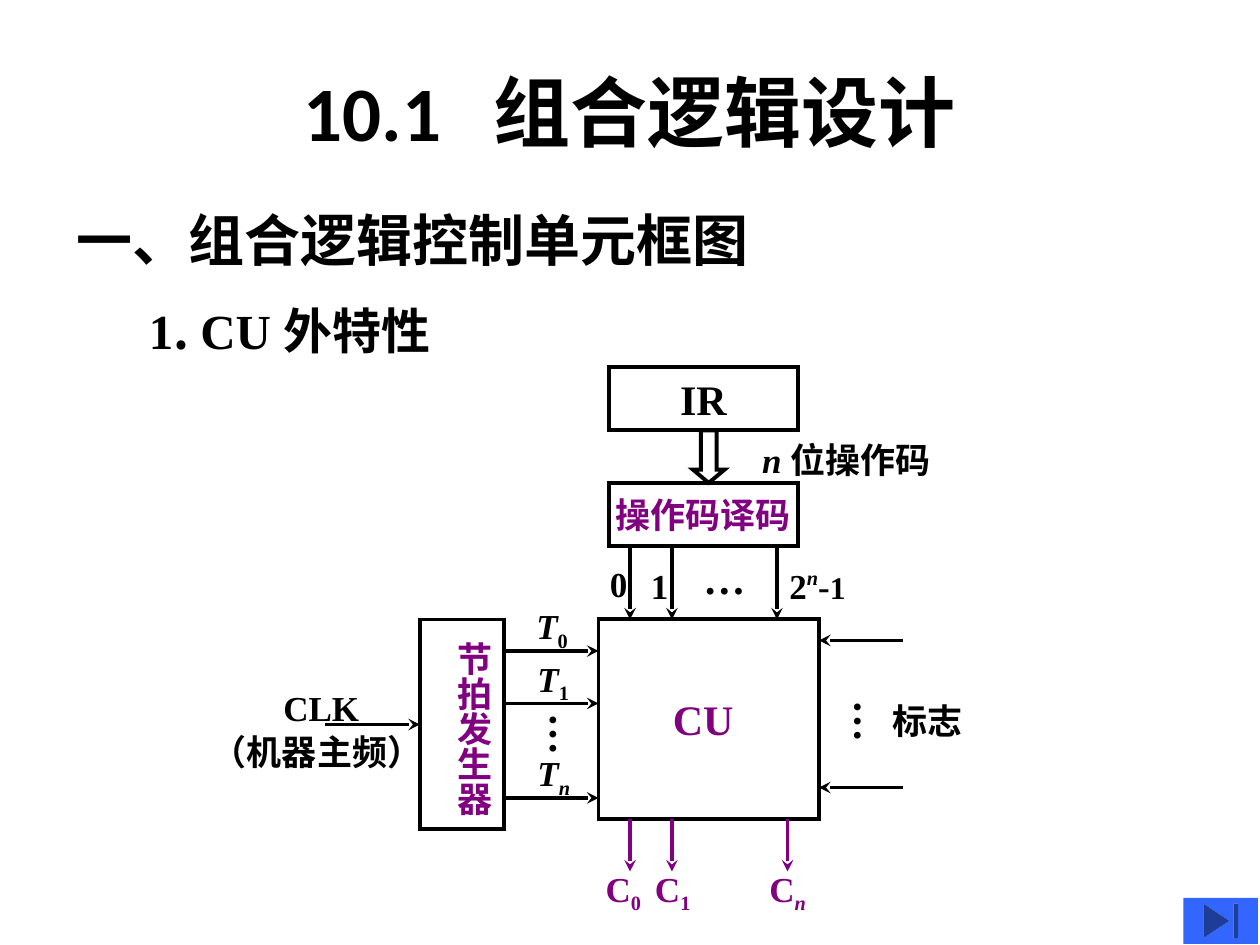
from lxml import etree
from pptx import Presentation, util as u
from pptx.dml.color import RGBColor
from pptx.enum import shapes, text
from pptx.oxml.ns import qn

BLACK = RGBColor(0x00, 0x00, 0x00)
PURPLE = RGBColor(0x80, 0x00, 0x80)
BLUE = RGBColor(0x33, 0x66, 0xFF)
SERIF, SANS, TITLE_FONT = "Times New Roman", "Noto Sans CJK SC", "Calibri"
COLUMNS, ROWS = 120, 90
WIDTH, HEIGHT = u.Inches(10), u.Inches(7.5)
STROKE = u.Pt(2.25)
ITALIC = {"italic": True}
SUB = {"base": -25}
ITALIC_SUB = {"italic": True, "base": -25}

# Places are left, top, width, height in grid columns and rows.
TITLE = ["10.1", (" ", {"spacing": 20}), "组合逻辑设计"]
TITLE_PLACE = (9, 3, 102, 15)
HEADINGS = [
    ((6.1, 19, 67, 7.7), ["一、组合逻辑控制单元框图"], {"size": 32, "font": SANS}),
    ((13, 28, 45, 6.8), ["1", (". ", {"font": SANS}), "CU ", ("外特性", {"font": SANS})],
     {"size": 28, "wrap": True}),
]
IR, DECODER = (58, 35, 18, 6), (58, 46, 18, 6)
TIMING, CU = (40, 59, 8, 20), (57, 59, 21, 19)
OPCODE_ARROW = (66, 41, 3, 5)
END_BUTTON = (112.7, 85.5, 7.1, 4.4)

BEAT_ROWS = [62, 67, 76]
FLAG_ROWS = [61, 75]
DECODED_COLUMNS = [60, 64, 74]
CONTROL_COLUMNS = [60, 64, 75]
CLOCK_ROW = 69

LABELS = [
    ((62.9, 65.5, 8.5, 6), ["CU"], {"size": 24, "color": PURPLE}),
    ((41.3, 59.9, 6.4, 17.9), ["节拍发生器"], {"color": PURPLE, "vertical": True}),
    ((25.8, 64.8, 10, 5.3), ["CLK"], {}),
    ((19, 69, 23, 5.3), ["（机器主频）"], {}),
    ((83.8, 66, 9.6, 5.3), ["标志"], {}),
    ((71.4, 41.2, 20, 5.3), [("n ", ITALIC), "位操作码"], {}),
    ((56.9, 53, 4.5, 5.3), ["0"], {}),
    ((60.8, 53.2, 4.5, 5.3), ["1"], {}),
    ((74, 53.2, 8.4, 5.3),
     ["2", ("n", {"italic": True, "base": 40}), "-", ("1", {"size": 18})], {}),
    ((65.8, 52, 6.8, 6), ["…"], {"size": 24}),
    ((49.8, 66.8, 7.2, 5.3), ["…"], {"size": 24, "vertical": True}),
    ((78.8, 65.5, 7.2, 5.3), ["…"], {"size": 24, "vertical": True}),
]
BEATS = [((49.9, 57), "0", SUB), ((50, 62), "1", SUB), ((50, 71), "n", ITALIC_SUB)]
CONTROLS = [(56.5, "0", SUB), (61.2, "1", SUB), (72.1, "n", ITALIC_SUB)]
LABELS += [((*corner, 6.2, 5.8), [("T", ITALIC), (index, style)], {})
           for corner, index, style in BEATS]
LABELS += [((left, 82, 6.5, 5.8), ["C", (index, style)], {"color": PURPLE})
           for left, index, style in CONTROLS]


def x(column):
    return round(WIDTH * column / COLUMNS)


def y(row):
    return round(HEIGHT * row / ROWS)


def box(place):
    left, top, width, height = place
    return x(left), y(top), x(width), y(height)


def write(frame, runs, size=20, font=SERIF, color=BLACK, align=None, wrap=False,
          vertical=False):
    """Fill a frame with runs; a run is a string or (string, format changes)."""
    frame.word_wrap = wrap
    if vertical:
        frame._txBody.bodyPr.set("vert", "eaVert")
        frame.margin_left = frame.margin_right = u.Inches(0.05)
        frame.margin_top = frame.margin_bottom = u.Inches(0.1)
    paragraph = frame.paragraphs[0]
    paragraph.alignment = align
    for item in runs:
        words, changes = (item, {}) if isinstance(item, str) else item
        run = paragraph.add_run()
        run.text = words
        run.font.size = u.Pt(changes.get("size", size))
        run.font.bold = True
        run.font.italic = changes.get("italic", False)
        run.font.color.rgb = color
        run.font.name = changes.get("font", font)
        properties = run.font._element
        properties.find(qn("a:latin")).addnext(
            etree.Element(qn("a:ea"), typeface=SANS))
        if "base" in changes:
            properties.set("baseline", str(changes["base"] * 1000))
        if "spacing" in changes:
            properties.set("spc", str(changes["spacing"] * 100))


def add_label(slide, place, runs, **style):
    frame = slide.shapes.add_textbox(*box(place)).text_frame
    frame.auto_size = text.MSO_AUTO_SIZE.SHAPE_TO_FIT_TEXT
    write(frame, runs, **style)


def add_outline(slide, place, kind=shapes.MSO_SHAPE.RECTANGLE):
    outline = slide.shapes.add_shape(kind, *box(place))
    outline.shadow.inherit = False
    outline.fill.background()
    outline.line.color.rgb = BLACK
    outline.line.width = STROKE
    etree.SubElement(outline.line._get_or_add_ln(), qn("a:miter"), lim="800000")
    return outline


def add_arrow(slide, start, end, color=BLACK):
    arrow = slide.shapes.add_connector(
        shapes.MSO_CONNECTOR.STRAIGHT, x(start[0]), y(start[1]), x(end[0]), y(end[1]))
    arrow.line.color.rgb = color
    arrow.line.width = STROKE
    etree.SubElement(arrow.line._get_or_add_ln(), qn("a:tailEnd"), type="stealth")
    etree.SubElement(arrow._element.spPr, qn("a:effectLst"))


def main():
    deck = Presentation()
    deck.slide_width, deck.slide_height = WIDTH, HEIGHT
    slide = deck.slides.add_slide(deck.slide_layouts[5])

    title = slide.shapes.title
    title.left, title.top, title.width, title.height = box(TITLE_PLACE)
    title.text_frame.vertical_anchor = text.MSO_ANCHOR.MIDDLE
    write(title.text_frame, TITLE, size=44, font=TITLE_FONT,
          align=text.PP_ALIGN.CENTER, wrap=True)

    for place in (TIMING, CU):
        add_outline(slide, place)
    for place, name, style in ((IR, "IR", {"size": 24}),
                               (DECODER, "操作码译码", {"color": PURPLE})):
        frame = add_outline(slide, place).text_frame
        frame.vertical_anchor = text.MSO_ANCHOR.MIDDLE
        write(frame, [name], align=text.PP_ALIGN.CENTER, **style)
    opcode = add_outline(slide, OPCODE_ARROW, shapes.MSO_SHAPE.DOWN_ARROW)
    opcode.adjustments[0], opcode.adjustments[1] = 0.5, 0.42

    cu_left, cu_top, cu_width, cu_height = CU
    cu_right, cu_bottom = cu_left + cu_width, cu_top + cu_height
    timing_left, timing_right = TIMING[0], TIMING[0] + TIMING[2]
    decoder_bottom = DECODER[1] + DECODER[3]
    add_arrow(slide, (timing_left - 9, CLOCK_ROW), (timing_left, CLOCK_ROW))
    for row in BEAT_ROWS:
        add_arrow(slide, (timing_right, row), (cu_left, row))
    for row in FLAG_ROWS:
        add_arrow(slide, (cu_right + 8, row), (cu_right, row))
    for column in DECODED_COLUMNS:
        add_arrow(slide, (column, decoder_bottom), (column, cu_top))
    for column in CONTROL_COLUMNS:
        add_arrow(slide, (column, cu_bottom), (column, cu_bottom + 5), PURPLE)

    for place, runs, style in HEADINGS + LABELS:
        add_label(slide, place, runs, **style)

    button = slide.shapes.add_shape(shapes.MSO_SHAPE.ACTION_BUTTON_END, *box(END_BUTTON))
    button.shadow.inherit = False
    button.fill.solid()
    button.fill.fore_color.rgb = BLUE
    button.line.fill.background()

    deck.save("out.pptx")


if __name__ == "__main__":
    main()
